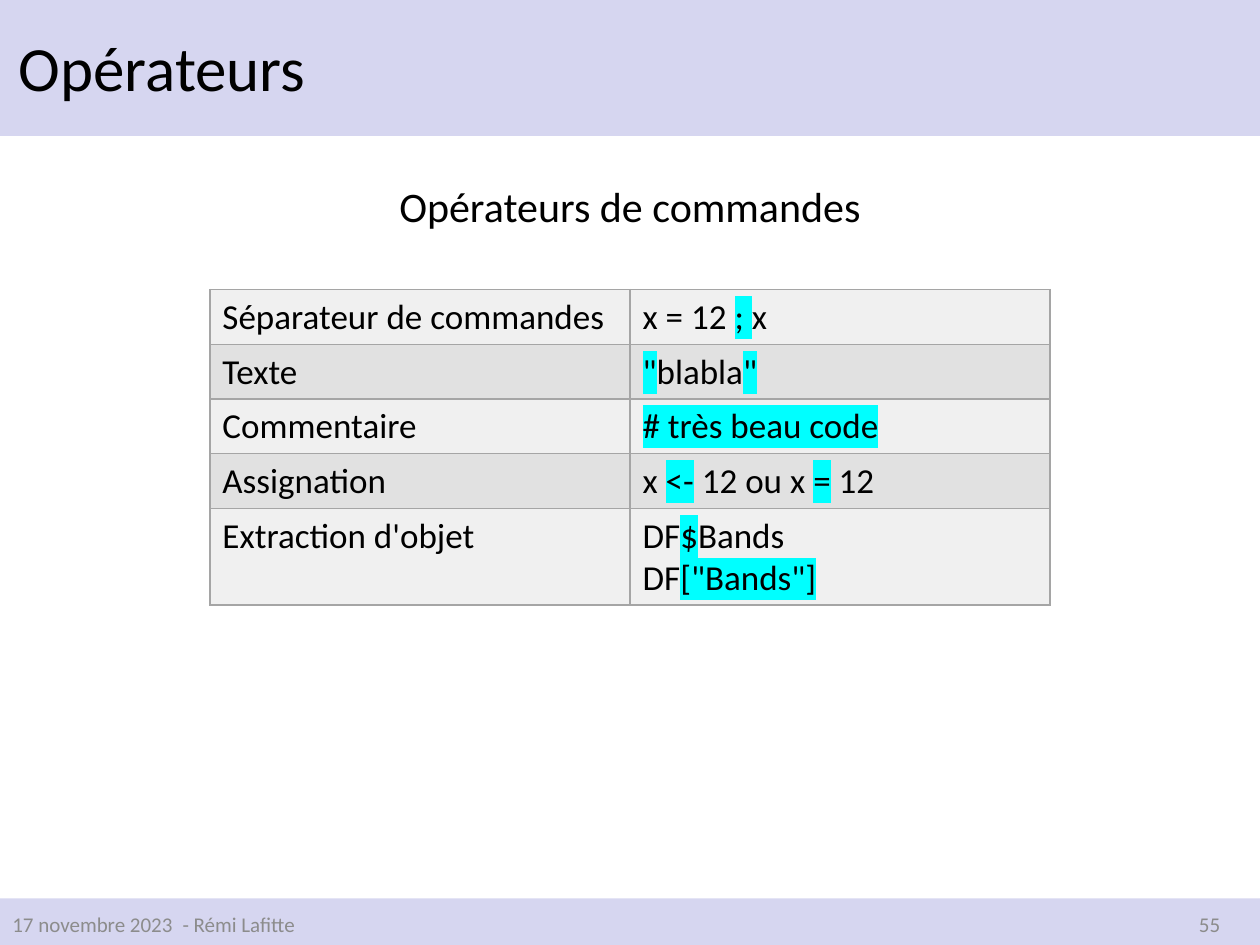
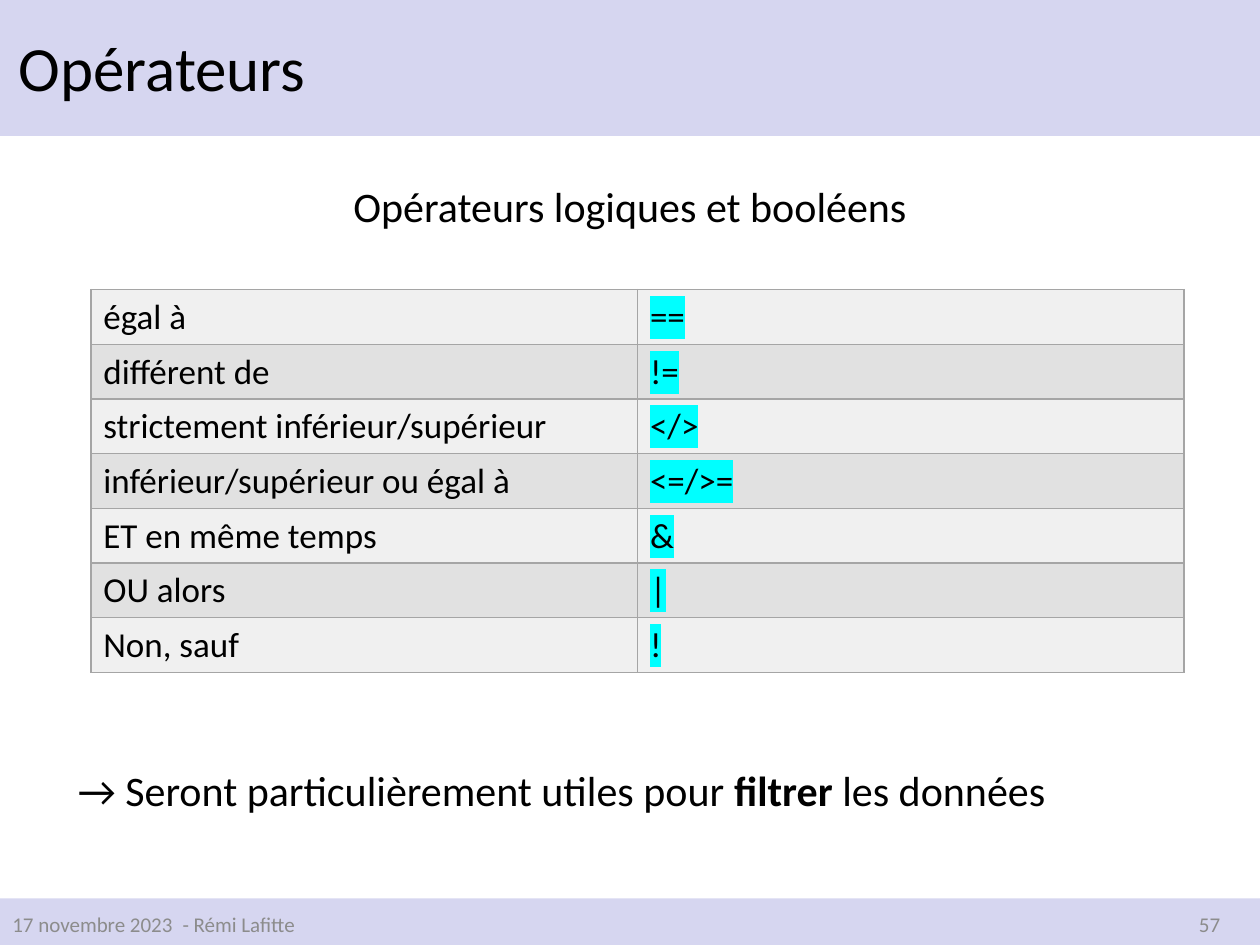
from dataclasses import dataclass

from lxml import etree
from pptx import Presentation
from pptx.dml.color import RGBColor
from pptx.enum.shapes import MSO_SHAPE as Preset
from pptx.enum.text import MSO_ANCHOR as Anchor, MSO_AUTO_SIZE as AutoSize, PP_ALIGN as Align
from pptx.oxml.ns import qn
from pptx.slide import Slide
from pptx.util import Cm, Pt

# Shared style
FONT = "Calibri"
BAND, BLACK, GREY, BORDER = "D6D6F0", "000000", "8C8C8C", "A5A5A5"
HIGHLIGHT = "00FFFF"
ROW_FILLS = ("F0F0F0", "E1E1E1")
MARK = "§"  # encloses the emphasised parts of a text

# Lengths in centimetres
SLIDE_WIDTH, SLIDE_HEIGHT = 25.4, 19.05
TITLE_BAND_HEIGHT, FOOTER_TOP = 2.74, 18.11
TABLE_TOP, LINE_HEIGHT, CELL_PADDING = 5.84, 0.84, 0.26


@dataclass(frozen=True)
class TextStyle:
    size: int
    color: str = BLACK
    align: Align = Align.LEFT
    anchor: Anchor = Anchor.TOP
    line_spacing: float = 1.0
    grow: bool = False


@dataclass(frozen=True)
class TextItem:
    text: str
    left: float
    top: float
    width: float
    height: float
    style: TextStyle


@dataclass(frozen=True)
class OperatorSlide:
    number: int
    subtitle: str
    table_left: float
    column_width: float
    rows: tuple[tuple[str, str], ...]
    conclusion: str = ""


TITLE = TextStyle(36, anchor=Anchor.MIDDLE, line_spacing=0.9)
SUBTITLE = TextStyle(24, align=Align.CENTER, line_spacing=1.5, grow=True)
CONCLUSION = TextStyle(24, line_spacing=1.5, grow=True)
FOOTER = TextStyle(12, GREY, anchor=Anchor.MIDDLE)
PAGE_NUMBER = TextStyle(12, GREY, Align.RIGHT, Anchor.MIDDLE)
CELL = TextStyle(20)

SLIDES = (
    OperatorSlide(55, "Opérateurs de commandes", 4.23, 8.47, (
        ("Séparateur de commandes", "x = 12 §; §x"),
        ("Texte", '§"§blabla§"§'),
        ("Commentaire", "§# très beau code§"),
        ("Assignation", "x §<-§ 12 ou x §=§ 12"),
        ("Extraction d'objet", 'DF§$§Bands\nDF§["Bands"]§'),
    )),
    OperatorSlide(57, "Opérateurs logiques et booléens", 1.83, 11.02, (
        ("égal à", "§==§"),
        ("différent de", "§!=§"),
        ("strictement inférieur/supérieur", "§</>§"),
        ("inférieur/supérieur ou égal à", "§<=/>=§"),
        ("ET en même temps", "§&§"),
        ("OU alors", "§|§"),
        ("Non, sauf", "§!§"),
    ), "→ Seront particulièrement utiles pour §filtrer §les données"),
)


def rgb(color: str) -> RGBColor:
    return RGBColor.from_string(color)


def add_xml_color(parent, color: str) -> None:
    etree.SubElement(parent, qn("a:srgbClr"), val=color)


def highlight(run) -> None:
    """Put a marker colour behind a run whose font colour is already set."""
    marker = etree.Element(qn("a:highlight"))
    add_xml_color(marker, HIGHLIGHT)
    run.font._element.find(qn("a:solidFill")).addnext(marker)


def write_text(text_frame, text: str, style: TextStyle, bold_marks: bool = False) -> None:
    """Write marked text; marked parts become bold or highlighted."""
    for index, line in enumerate(text.split("\n")):
        paragraph = text_frame.add_paragraph() if index else text_frame.paragraphs[0]
        paragraph.alignment = style.align
        paragraph.line_spacing = style.line_spacing
        for position, part in enumerate(line.split(MARK)):
            if not part:
                continue
            run = paragraph.add_run()
            run.text = part
            run.font.name = FONT
            run.font.size = Pt(style.size)
            run.font.color.rgb = rgb(style.color)
            if position % 2 and bold_marks:
                run.font.bold = True
            elif position % 2:
                highlight(run)


def add_text(slide: Slide, item: TextItem) -> None:
    box = slide.shapes.add_textbox(Cm(item.left), Cm(item.top), Cm(item.width), Cm(item.height))
    text_frame = box.text_frame
    text_frame.word_wrap = True
    text_frame.vertical_anchor = item.style.anchor
    text_frame.auto_size = AutoSize.SHAPE_TO_FIT_TEXT if item.style.grow else AutoSize.NONE
    write_text(text_frame, item.text, item.style, bold_marks=True)


def add_band(slide: Slide, top: float, height: float) -> None:
    band = slide.shapes.add_shape(Preset.RECTANGLE, 0, Cm(top), Cm(SLIDE_WIDTH), Cm(height))
    band.shadow.inherit = False
    band.fill.solid()
    band.fill.fore_color.rgb = rgb(BAND)
    band.line.fill.background()


def add_borders(cell) -> None:
    properties = cell._tc.get_or_add_tcPr()
    for side in ("a:lnL", "a:lnR", "a:lnT", "a:lnB"):
        line = etree.SubElement(properties, qn(side), w=str(Pt(1)))
        add_xml_color(etree.SubElement(line, qn("a:solidFill")), BORDER)


def add_operator_table(slide: Slide, content: OperatorSlide) -> None:
    heights = [LINE_HEIGHT * (usage.count("\n") + 1) + CELL_PADDING for _, usage in content.rows]
    table = slide.shapes.add_table(
        len(content.rows), 2, Cm(content.table_left), Cm(TABLE_TOP),
        Cm(2 * content.column_width), Cm(sum(heights))).table
    table.first_row = table.horz_banding = False
    for column in table.columns:
        column.width = Cm(content.column_width)
    for row_index, texts in enumerate(content.rows):
        table.rows[row_index].height = Cm(heights[row_index])
        for column_index, text in enumerate(texts):
            cell = table.cell(row_index, column_index)
            add_borders(cell)
            cell.fill.solid()
            cell.fill.fore_color.rgb = rgb(ROW_FILLS[row_index % 2])
            write_text(cell.text_frame, text, CELL)


def add_frame(slide: Slide, number: int) -> None:
    """Draw the bands, title and footer that every slide shares."""
    add_band(slide, 0, TITLE_BAND_HEIGHT)
    add_band(slide, FOOTER_TOP, SLIDE_HEIGHT - FOOTER_TOP)
    footer_width, footer_height = 5.72, 1.02
    for text, left, style in (
        ("- Rémi Lafitte", 3.43, FOOTER),
        ("17 novembre 2023", 0, FOOTER),
        (str(number), 19.13, PAGE_NUMBER),
    ):
        add_text(slide, TextItem(text, left, FOOTER_TOP, footer_width, footer_height, style))
    add_text(slide, TextItem("Opérateurs", 0.13, 0.18, 18.62, 2.51, TITLE))


def add_operator_slide(presentation, content: OperatorSlide) -> None:
    slide = presentation.slides.add_slide(presentation.slide_layouts[6])
    add_frame(slide, content.number)
    add_text(slide, TextItem(content.subtitle, 0, 3, SLIDE_WIDTH, 1.63, SUBTITLE))
    add_operator_table(slide, content)
    if content.conclusion:
        add_text(slide, TextItem(content.conclusion, 1.32, 14.78, 24.08, 1.63, CONCLUSION))


def main() -> None:
    presentation = Presentation()
    presentation.slide_width = Cm(SLIDE_WIDTH)
    presentation.slide_height = Cm(SLIDE_HEIGHT)
    for content in SLIDES:
        add_operator_slide(presentation, content)
    presentation.save("out.pptx")


if __name__ == "__main__":
    main()
